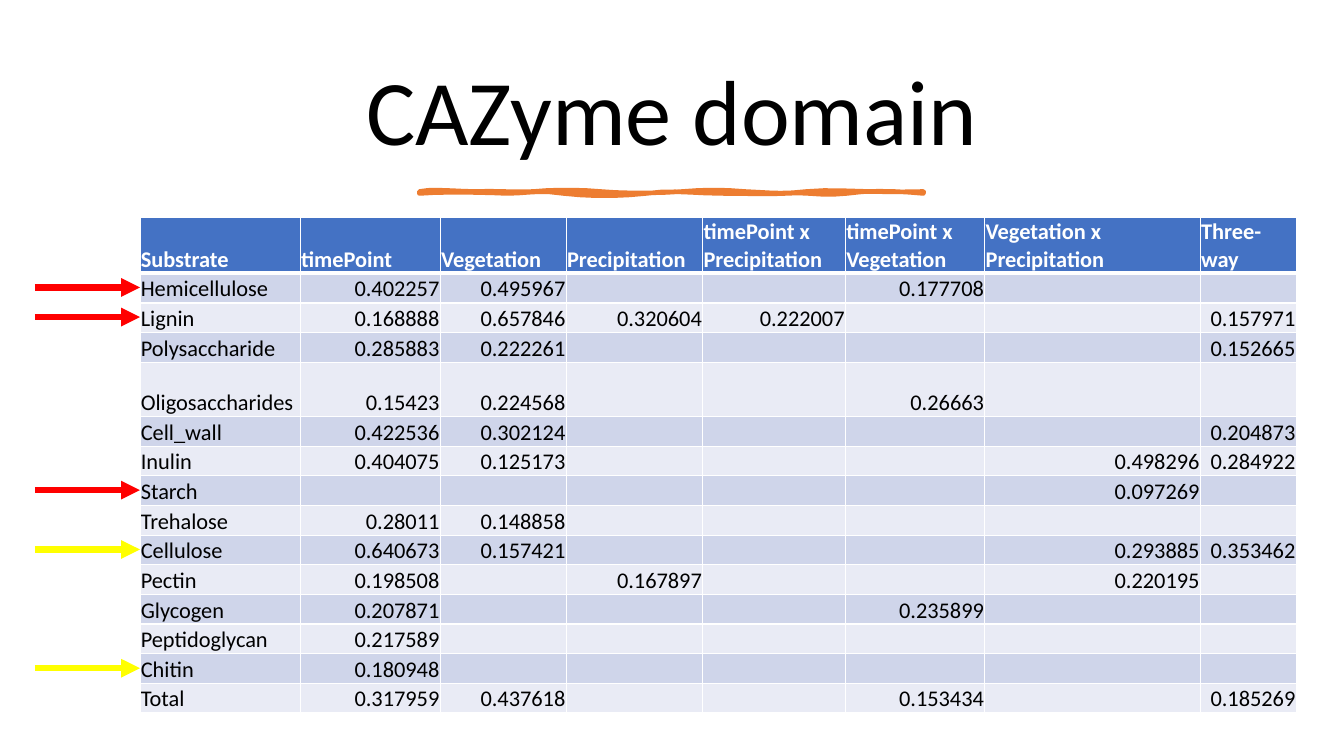
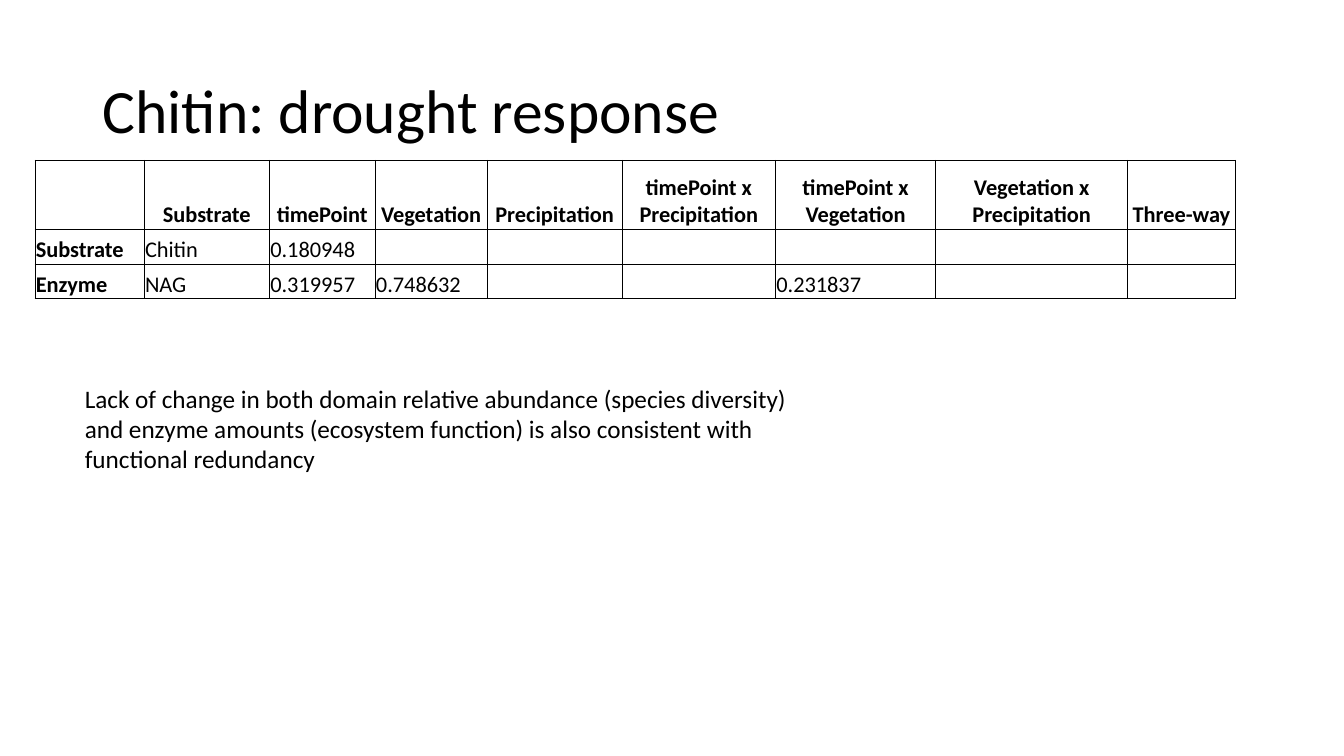
from lxml import etree
from pptx import Presentation
from pptx.dml.color import RGBColor
from pptx.enum import shapes as sh, text as tx
from pptx.oxml import ns
from pptx.util import Pt

FONT = "Calibri"
BLACK, WHITE, BLUE, ORANGE = "000000", "FFFFFF", "4472C4", "ED7D31"
RED, YELLOW = "FF0000", "FFFF00"
BANDS = ["E9EBF5", "CFD5EA"]
LEFT, MID, RIGHT = tx.PP_ALIGN.LEFT, tx.PP_ALIGN.CENTER, tx.PP_ALIGN.RIGHT

HEADS = ["Substrate", "timePoint", "Vegetation", "Precipitation",
         "timePoint x Precipitation", "timePoint x Vegetation",
         "Vegetation x Precipitation", "Three-way"]

DOMAINS = [row.split("|") for row in (
    "Hemicellulose|0.402257|0.495967|||0.177708||",
    "Lignin|0.168888|0.657846|0.320604|0.222007|||0.157971",
    "Polysaccharide|0.285883|0.222261|||||0.152665",
    "Oligosaccharides|0.15423|0.224568|||0.26663||",
    "Cell_wall|0.422536|0.302124|||||0.204873",
    "Inulin|0.404075|0.125173||||0.498296|0.284922",
    "Starch||||||0.097269|",
    "Trehalose|0.28011|0.148858|||||",
    "Cellulose|0.640673|0.157421||||0.293885|0.353462",
    "Pectin|0.198508||0.167897|||0.220195|",
    "Glycogen|0.207871||||0.235899||",
    "Peptidoglycan|0.217589||||||",
    "Chitin|0.180948||||||",
    "Total|0.317959|0.437618|||0.153434||0.185269",
)]
MARKS = {"Hemicellulose": RED, "Lignin": RED, "Starch": RED,
         "Cellulose": YELLOW, "Chitin": YELLOW}

CHITIN = [row.split("|") for row in (
    "Substrate|Chitin|0.180948||||||",
    "Enzyme|NAG|0.319957|0.748632|||0.231837||",
)]

# Brush stroke: each row holds two control points and an end point
BRUSH = [
    (8.6, -2.2, 27.4, 0, 41, 0), (54.7, -0.7, 67, 0.7, 81.4, 0),
    (95.8, -1.4, 113.8, -1.4, 129.6, 0), (144.7, 1.4, 170.6, 1.4, 187.9, 0),
    (205.9, -1.4, 214.6, -1.4, 232.6, 0), (249.8, 0.7, 257.8, 2.2, 276.5, 0),
    (295.2, -2.2, 324.7, 1.4, 360, 0), (360.7, 0.7, 360, 0.7, 360, 1.4),
    (344.9, 0, 323.3, -1.4, 305.3, 1.4), (287.3, 3.6, 277.2, 0, 261.4, 1.4),
    (244.8, 2.2, 238.3, 1.4, 216.7, 1.4), (195.1, 1.4, 180.7, -1.4, 162, 1.4),
    (142.6, 3.6, 121.7, 3.6, 103, 1.4), (85, -1.4, 77, 1.4, 62.6, 1.4),
    (48.2, 0.7, 15.8, 0, 0, 1.4),
]


def rgb(code):
    return RGBColor.from_string(code)


def style(para, size, color=BLACK, bold=False, align=LEFT):
    para.alignment = align
    font = para.font
    font.name, font.size, font.bold = FONT, Pt(size), bold
    font.color.rgb = rgb(color)


def add_page(deck, title, box, size, align):
    """Title-only slide with its title placed in the box."""
    page = deck.slides.add_slide(deck.slide_layouts[5])
    head = page.shapes.title
    head.left, head.top, head.width, head.height = map(Pt, box)
    frame = head.text_frame
    frame.text = title
    frame.auto_size = tx.MSO_AUTO_SIZE.NONE
    frame.vertical_anchor = tx.MSO_ANCHOR.MIDDLE
    para = frame.paragraphs[0]
    style(para, size, align=align)
    para.line_spacing = 0.9
    return page


def set_edges(cell, color, widths):
    """Borders in the order left, right, top, bottom."""
    props = cell._tc.get_or_add_tcPr()
    for i, (side, width) in enumerate(zip("LRTB", widths)):
        line = etree.Element(ns.qn("a:ln" + side), w=str(Pt(width)))
        fill = etree.SubElement(line, ns.qn("a:solidFill"))
        etree.SubElement(fill, ns.qn("a:srgbClr"), val=color)
        props.insert(i, line)


def add_grid(page, left, top, cols, rows, data, look, edge, width, rule):
    """Table; look(row, col) gives fill, colour, bold and alignment."""
    frame = page.shapes.add_table(len(rows), len(cols), Pt(left), Pt(top),
                                  Pt(sum(cols)), Pt(sum(rows)))
    table = frame.table
    table.first_row = table.horz_banding = False
    for col, size in zip(table.columns, cols):
        col.width = Pt(size)
    for r, line in enumerate(data):
        table.rows[r].height = Pt(rows[r])
        for c, words in enumerate(line):
            cell = table.cell(r, c)
            fill, color, bold, align = look(r, c)
            cell.margin_left = cell.margin_right = cell.margin_top = Pt(0.6)
            cell.margin_bottom = 0
            cell.vertical_anchor = tx.MSO_ANCHOR.BOTTOM
            cell.text = words
            para = cell.text_frame.paragraphs[0]
            style(para, 16, color, bold, align)
            if not words:  # keeps empty cells from stretching their row
                para._p.get_or_add_endParaRPr().set("sz", "1600")
            if fill:
                cell.fill.solid()
                cell.fill.fore_color.rgb = rgb(fill)
            else:
                cell.fill.background()
            set_edges(cell, edge, (width, width, rule if r == 1 else width,
                                   rule if r == 0 else width))


def add_brush(page, left, top):
    """Hand-drawn rule below the title."""
    x, y = 0, 0
    dots = []
    for ax, ay, bx, by, ex, ey in BRUSH:
        for t in (0.2, 0.4, 0.6, 0.8, 1):
            s = 1 - t
            k = (s ** 3, 3 * s * s * t, 3 * s * t * t, t ** 3)
            dots.append(tuple(
                Pt(base + sum(w * v for w, v in zip(k, vals)))
                for base, vals in ((left, (x, ax, bx, ex)),
                                   (top, (y, ay, by, ey)))))
        x, y = ex, ey
    pen = page.shapes.build_freeform(Pt(left), Pt(top))
    pen.add_line_segments(dots, close=True)
    brush = pen.convert_to_shape()
    brush.shadow.inherit = False
    brush.fill.solid()
    brush.fill.fore_color.rgb = rgb(ORANGE)
    brush.line.color.rgb = rgb(ORANGE)
    brush.line.width = Pt(3.25)


def add_arrow(page, start, end, y, color):
    arrow = page.shapes.add_connector(sh.MSO_CONNECTOR.STRAIGHT,
                                      Pt(start), Pt(y), Pt(end), Pt(y))
    arrow.line.color.rgb = rgb(color)
    arrow.line.width = Pt(4.5)
    line = arrow.line._get_or_add_ln()
    etree.SubElement(line, ns.qn("a:tailEnd"), type="triangle")
    etree.SubElement(arrow._element.spPr, ns.qn("a:effectLst"))


def add_note(page, box, words):
    frame = page.shapes.add_textbox(*map(Pt, box)).text_frame
    frame.word_wrap = True
    frame.text = words
    style(frame.paragraphs[0], 18)


def domain_look(r, c):
    if r == 0:
        return BLUE, WHITE, True, LEFT
    return BANDS[r % 2], BLACK, False, RIGHT if c else LEFT


def chitin_look(r, c):
    return None, BLACK, r == 0 or c == 0, MID if r == 0 else LEFT


def domain_page(deck):
    page = add_page(deck, "CAZyme domain", (50.5, 33, 859, 98.5), 66, MID)
    add_brush(page, 299.5, 136.8)
    left, top = 100, 155.5
    cols = [114.5, 100, 90, 97.5, 102, 99.5, 154, 68.5]
    rows = [39.2] + [38.8 if line[0] == "Oligosaccharides" else 21.2
                     for line in DOMAINS]
    add_grid(page, left, top, cols, rows, [HEADS] + DOMAINS, domain_look,
             WHITE, 1, 3)
    # Arrows point at the middle of the marked rows
    for r, line in enumerate(DOMAINS, 1):
        if line[0] in MARKS:
            y = top + sum(rows[:r]) + rows[r] / 2
            add_arrow(page, 25, left, y, MARKS[line[0]])


def chitin_page(deck):
    page = add_page(deck, "Chitin: drought response",
                    (66, 29, 828, 104), 44, LEFT)
    cols = [78, 89.5, 75.5, 80, 96.5, 109.5, 114.5, 137, 77]
    add_grid(page, 25, 114.5, cols, [49, 25, 25], [["", *HEADS]] + CHITIN,
             chitin_look, BLACK, 0.5, 0.5)
    add_note(page, (53.5, 270, 522, 72.5),
             "Lack of change in both domain relative abundance (species "
             "diversity) and enzyme amounts (ecosystem function) is also "
             "consistent with functional redundancy")


def main():
    deck = Presentation()
    deck.slide_width, deck.slide_height = Pt(960), Pt(540)
    domain_page(deck)
    chitin_page(deck)
    deck.save("out.pptx")


if __name__ == "__main__":
    main()
